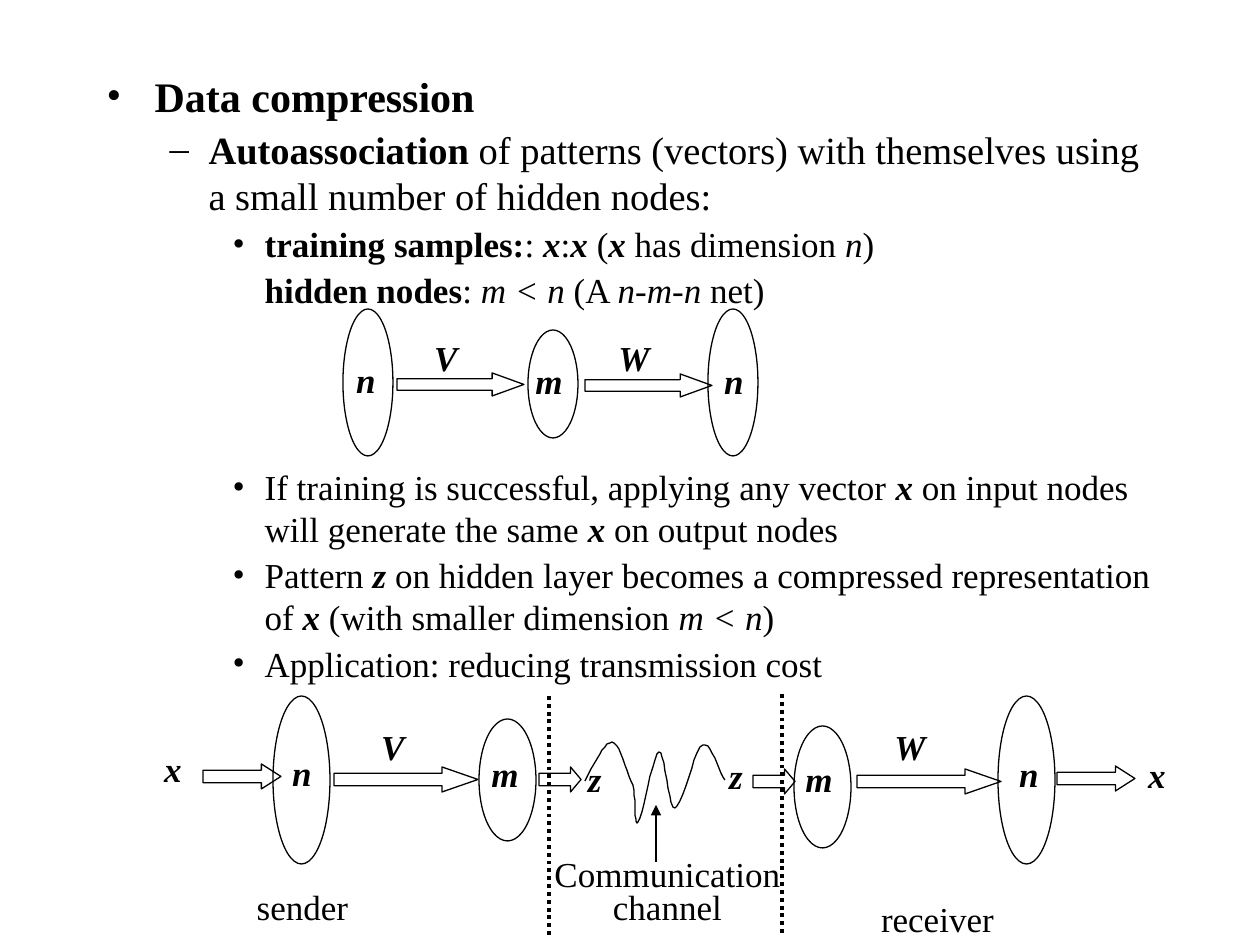
from lxml import etree
from pptx import Presentation
from pptx.dml.color import RGBColor
from pptx.enum.dml import MSO_LINE
from pptx.enum.shapes import MSO_CONNECTOR, MSO_SHAPE
from pptx.enum.text import MSO_ANCHOR, MSO_AUTO_SIZE, PP_ALIGN
from pptx.oxml.ns import qn
from pptx.util import Emu, Pt

OVAL, ARROW = MSO_SHAPE.OVAL, MSO_SHAPE.RIGHT_ARROW
STRAIGHT = MSO_CONNECTOR.STRAIGHT
DOTTED = MSO_LINE.ROUND_DOT
CENTER, RIGHT = PP_ALIGN.CENTER, PP_ALIGN.RIGHT
TOP = MSO_ANCHOR.TOP
NO_FIT = MSO_AUTO_SIZE.NONE
FONT = "Times New Roman"
BLACK = "000000"
EMU_PER_PX = 914400 / 126

LEVELS = [(24, 48, 48), (22, 102, 39), (20, 158, 32)]

OUTLINE = [
    (0, "•", 0, [("Data compression", "b")]),
    (1, "–", 2.8, [("Autoassociation", "b"),
                   (" of patterns (vectors) with themselves using a small number of hidden nodes:", "")]),
    (2, "•", 2.5, [("training samples:", "b"), (": ", ""), ("x", "bi"), (":", ""), ("x ", "bi"),
                   ("(", ""), ("x ", "bi"), ("has dimension ", ""), ("n", "i"), (")", "")]),
    (2, None, 2.5, [("hidden nodes", "b"), (": ", ""), ("m < n", "i"), (" (A ", ""),
                    ("n-m-n ", "i"), ("net)", "")]),
    (2, "•", 88.3, [("If training is successful, applying any vector ", ""), ("x ", "bi"),
                    ("on input nodes will generate the same ", ""), ("x ", "bi"),
                    ("on output nodes", "")]),
    (2, "•", 2.5, [("Pattern ", ""), ("z ", "bi"),
                   ("on hidden layer becomes a compressed representation of ", ""), ("x ", "bi"),
                   ("(with smaller dimension ", ""), ("m < n", "i"), (")", "")]),
    (2, "•", 2.5, [("Application: reducing transmission cost", "")]),
]

NETWORK = {
    "layers": [(343, 309, 50, 147), (528, 330, 50, 108), (708, 309, 50, 147)],
    "arrows": [(397, 373, 127, 23), (585, 374, 127, 23)],
    "label_width": 50,
    "labels": [("n", 338, 352), ("n", 706, 353), ("m", 523, 353), ("V", 420, 330), ("W", 606, 330)],
}
TRANSMISSION = {
    "layers": [(273, 696, 57, 168), (479, 719, 57, 122), (794, 726, 57, 122), (998, 696, 57, 168)],
    "arrows": [(203, 764, 78, 25), (334, 767, 144, 25), (539, 767, 42, 25),
               (753, 769, 42, 25), (857, 769, 144, 25), (1057, 766, 78, 25)],
    "label_width": 57,
    "labels": [("x", 137, 741), ("n", 267, 745), ("V", 360, 719), ("m", 474, 746), ("z", 557, 751),
               ("z", 698, 748), ("m", 788, 751), ("W", 881, 719), ("n", 994, 746), ("x", 1121, 747)],
}
LABEL_HEIGHT = 55
SIGNAL_START = (585, 781)
SIGNAL_CURVES = [
    ((595, 761), (605, 742), (612, 742)),
    ((620, 743), (627, 772), (633, 785)),
    ((636, 799), (634, 827), (638, 822)),
    ((643, 815), (653, 755), (659, 752)),
    ((665, 750), (668, 809), (675, 808)),
    ((683, 806), (694, 748), (703, 745)),
    ((711, 740), (719, 773), (725, 780)),
]
CURVE_STEPS = 10
CHANNEL_POINTER = (656, 862, 656, 805)
BOUNDARIES = [(549, 696, 549, 935), (782, 694, 782, 934)]
CAPTIONS = [
    (["Communication", "channel"], (496, 854, 343, 81), 0.8),
    (["receiver"], (799, 891, 277, 55), 1),
    (["sender"], (164, 879, 277, 55), 1),
]


def px(*lengths):
    return [Emu(round(length * EMU_PER_PX)) for length in lengths]


def color(value):
    return RGBColor.from_string(value)


def add_text(paragraph, text, size=20, bold=False, italic=False):
    run = paragraph.add_run()
    run.text = text
    font = run.font
    font.name, font.size, font.bold, font.italic = FONT, Pt(size), bold, italic
    font.color.rgb = color(BLACK)


def outline_only(shape):
    shape.shadow.inherit = False
    shape.fill.background()
    shape.line.color.rgb = color(BLACK)
    shape.line.width = Pt(0.75)


def add_box(shapes, lines, box, align, spacing=1, **style):
    frame = shapes.add_textbox(*px(*box)).text_frame
    frame.word_wrap = True
    for i, line in enumerate(lines):
        paragraph = frame.add_paragraph() if i else frame.paragraphs[0]
        paragraph.alignment = align
        paragraph.line_spacing = spacing
        add_text(paragraph, line, **style)


def add_line(shapes, ends, width, dash=None, head=False):
    connector = shapes.add_connector(STRAIGHT, *px(*ends))
    line = connector.line
    line.color.rgb, line.width = color(BLACK), Pt(width)
    if dash:
        line.dash_style = dash
    properties = connector._element.spPr
    if head:
        etree.SubElement(properties.find(qn("a:ln")), qn("a:tailEnd"), type="triangle")
    etree.SubElement(properties, qn("a:effectLst"))


def add_outline(body):
    body.left, body.top, body.width, body.height = px(94, 64, 1071, 835)
    frame = body.text_frame
    frame.word_wrap, frame.auto_size, frame.vertical_anchor = True, NO_FIT, TOP
    for i, (level, bullet, before, runs) in enumerate(OUTLINE):
        paragraph = frame.add_paragraph() if i else frame.paragraphs[0]
        size, margin, hanging = LEVELS[level]
        paragraph.level, paragraph.space_before = level, Pt(before)
        left, indent = px(margin, -hanging if bullet else 0)
        properties = paragraph._p.get_or_add_pPr()
        properties.set("marL", str(left))
        properties.set("indent", str(indent))
        if bullet:
            etree.SubElement(properties, qn("a:buFont"), typeface=FONT)
            etree.SubElement(properties, qn("a:buChar"), char=bullet)
        else:
            etree.SubElement(properties, qn("a:buNone"))
        for text, style in runs:
            add_text(paragraph, text, size=size, bold="b" in style, italic="i" in style)


def add_diagram(slide, diagram):
    shapes = slide.shapes.add_group_shape().shapes
    for layer in diagram["layers"]:
        outline_only(shapes.add_shape(OVAL, *px(*layer)))
    for arrow_box in diagram["arrows"]:
        arrow = shapes.add_shape(ARROW, *px(*arrow_box))
        width, height = arrow_box[2:]
        arrow.adjustments[1] = width / 4 / height
        outline_only(arrow)
    for text, left, top in diagram["labels"]:
        box = (left, top, diagram["label_width"], LABEL_HEIGHT)
        add_box(shapes, [text], box, RIGHT, bold=True, italic=True)
    return shapes


def curve_points(start, curves):
    for first, second, end in curves:
        for step in range(1, CURVE_STEPS + 1):
            t = step / CURVE_STEPS
            u = 1 - t
            yield tuple(u**3 * a + 3 * u * u * t * b + 3 * u * t * t * c + t**3 * d
                        for a, b, c, d in zip(start, first, second, end))
        start = end


def main():
    deck = Presentation()
    deck.slide_width, deck.slide_height = px(1260, 945)
    slide = deck.slides.add_slide(deck.slide_layouts[1])
    title = slide.shapes.title._element
    title.getparent().remove(title)
    add_outline(slide.placeholders[1])

    add_diagram(slide, NETWORK)
    transmission = add_diagram(slide, TRANSMISSION)
    signal = transmission.build_freeform(*SIGNAL_START, scale=EMU_PER_PX)
    signal.add_line_segments(curve_points(SIGNAL_START, SIGNAL_CURVES), close=False)
    outline_only(signal.convert_to_shape())
    add_line(transmission, CHANNEL_POINTER, 0.75, head=True)

    for lines, box, spacing in CAPTIONS:
        add_box(slide.shapes, lines, box, CENTER, spacing)
    for boundary in BOUNDARIES:
        add_line(slide.shapes, boundary, 2.25, dash=DOTTED)
    deck.save("out.pptx")


if __name__ == "__main__":
    main()
